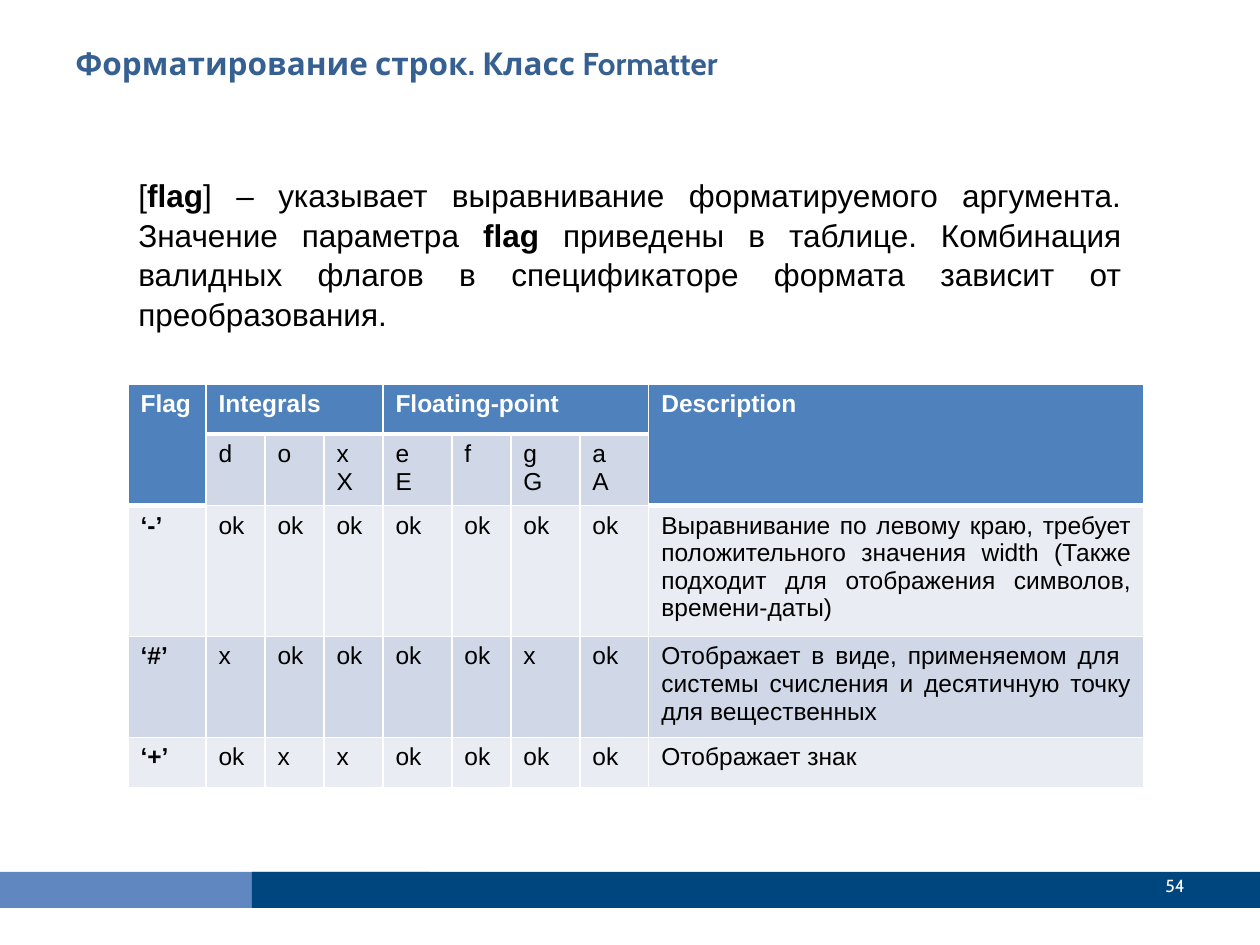
from lxml import etree
from pptx import Presentation
from pptx import util as u
from pptx.dml.color import RGBColor
from pptx.enum import shapes, text
from pptx.oxml.ns import qn

T = dict(
    head_font="Cabin", body_font="Arial",
    title_size=18, body_size=18, cell_size=14, number_size=10,
    title="376092", ink="000000", white="FFFFFF",
    bar_light="6087BF", bar_dark="00467E",
    header="4F81BD", band_dark="D0D8E7", band_light="E9ECF3",
    line=0.96, heavy=3,
)


def px(v):
    return u.Emu(round(v * 914400 / 126))


def put(tf, txt, font=T["body_font"], size=T["cell_size"], color=T["ink"],
        align=text.PP_ALIGN.LEFT, anchor=text.MSO_ANCHOR.TOP, spacing=None):
    tf.word_wrap = True
    tf.vertical_anchor = anchor
    for i, line in enumerate(txt.split("\n")):
        p = tf.add_paragraph() if i else tf.paragraphs[0]
        p.alignment = align
        p.line_spacing = spacing
        for k, part in enumerate(line.split("*")):
            if part:
                r = p.add_run()
                r.text = part
                r.font.name, r.font.size, r.font.bold = font, u.Pt(size), k % 2 == 1
                r.font.color.rgb = RGBColor.from_string(color)


prs = Presentation()
prs.slide_width, prs.slide_height = px(1260), px(945)
s = prs.slides.add_slide(prs.slide_layouts[6])

for left, width, color in [(0, 430, T["bar_light"]), (252, 1008, T["bar_dark"])]:
    sp = s.shapes.add_shape(shapes.MSO_SHAPE.RECTANGLE, px(left), px(872), px(width), px(36))
    sp.shadow.inherit = False
    sp.fill.solid()
    sp.fill.fore_color.rgb = RGBColor.from_string(color)
    sp.line.fill.background()

title = s.shapes.add_textbox(px(63), px(38), px(1134), px(98))
put(title.text_frame, "*Форматирование строк. Класс Formatter*",
    font=T["head_font"], size=T["title_size"], color=T["title"])

cols = [78, 59, 59, 59, 69, 59, 69, 69, 495]
heights = [50, 71, 131, 101, 50]
rows = [
    ["*Flag*", "*Integrals*", "", "", "*Floating-point*", "", "", "", "*Description*"],
    ["", "d", "o", "x\nX", "e\nE", "f", "g\nG", "a\nA", ""],
    ["*‘-’*"] + ["ok"] * 7 + [
        "Выравнивание по левому краю, требует положительного значения width "
        "(Также подходит для отображения символов, времени-даты)"],
    ["*‘#’*", "x", "ok", "ok", "ok", "ok", "x", "ok",
     "Отображает в виде, применяемом для  системы счисления и десятичную точку для вещественных"],
    ["*‘+’*", "ok", "x", "x", "ok", "ok", "ok", "ok", "Отображает знак"],
]
last = len(cols) - 1
header = {(0, c) for c in range(len(cols))} | {(1, 0), (1, last)}

tbl = s.shapes.add_table(len(rows), len(cols), px(128), px(384),
                         px(sum(cols)), px(sum(heights))).table
for col, width in zip(tbl.columns, cols):
    col.width = px(width)
for row, height in zip(tbl.rows, heights):
    row.height = px(height)
for r1, c1, r2, c2 in [(0, 0, 1, 0), (0, 1, 0, 3), (0, 4, 0, 7), (0, last, 1, last)]:
    tbl.cell(r1, c1).merge(tbl.cell(r2, c2))

for i, row in enumerate(rows):
    for j, txt in enumerate(row):
        cell = tbl.cell(i, j)
        is_head = (i, j) in header
        top = T["heavy"] if (i - 1, j) in header and not is_head else T["line"]
        bottom = T["heavy"] if is_head else T["line"]
        tc_pr = cell._tc.get_or_add_tcPr()
        for side, width in [("L", T["line"]), ("R", T["line"]), ("T", top), ("B", bottom)]:
            ln = etree.SubElement(tc_pr, qn("a:ln" + side), w=str(u.Pt(width)))
            fill = etree.SubElement(ln, qn("a:solidFill"))
            etree.SubElement(fill, qn("a:srgbClr"), val=T["white"])
        band = T["band_dark"] if i % 2 else T["band_light"]
        cell.fill.solid()
        cell.fill.fore_color.rgb = RGBColor.from_string(T["header"] if is_head else band)
        if txt:
            put(cell.text_frame, txt, color=T["white"] if is_head else T["ink"],
                align=text.PP_ALIGN.JUSTIFY if j == last and i > 1 else text.PP_ALIGN.LEFT)

number = s.shapes.add_textbox(px(1061), px(861), px(136), px(50))
put(number.text_frame, "54", font=T["head_font"], size=T["number_size"], color=T["white"],
    align=text.PP_ALIGN.RIGHT, anchor=text.MSO_ANCHOR.MIDDLE)

body = s.shapes.add_textbox(px(126), px(168), px(1008), px(661))
put(body.text_frame,
    "[*flag*] – указывает выравнивание форматируемого аргумента. Значение параметра *flag *"
    "приведены в таблице. Комбинация валидных флагов в спецификаторе формата зависит от "
    "преобразования.",
    size=T["body_size"], align=text.PP_ALIGN.JUSTIFY, spacing=1.05)

prs.save("out.pptx")
